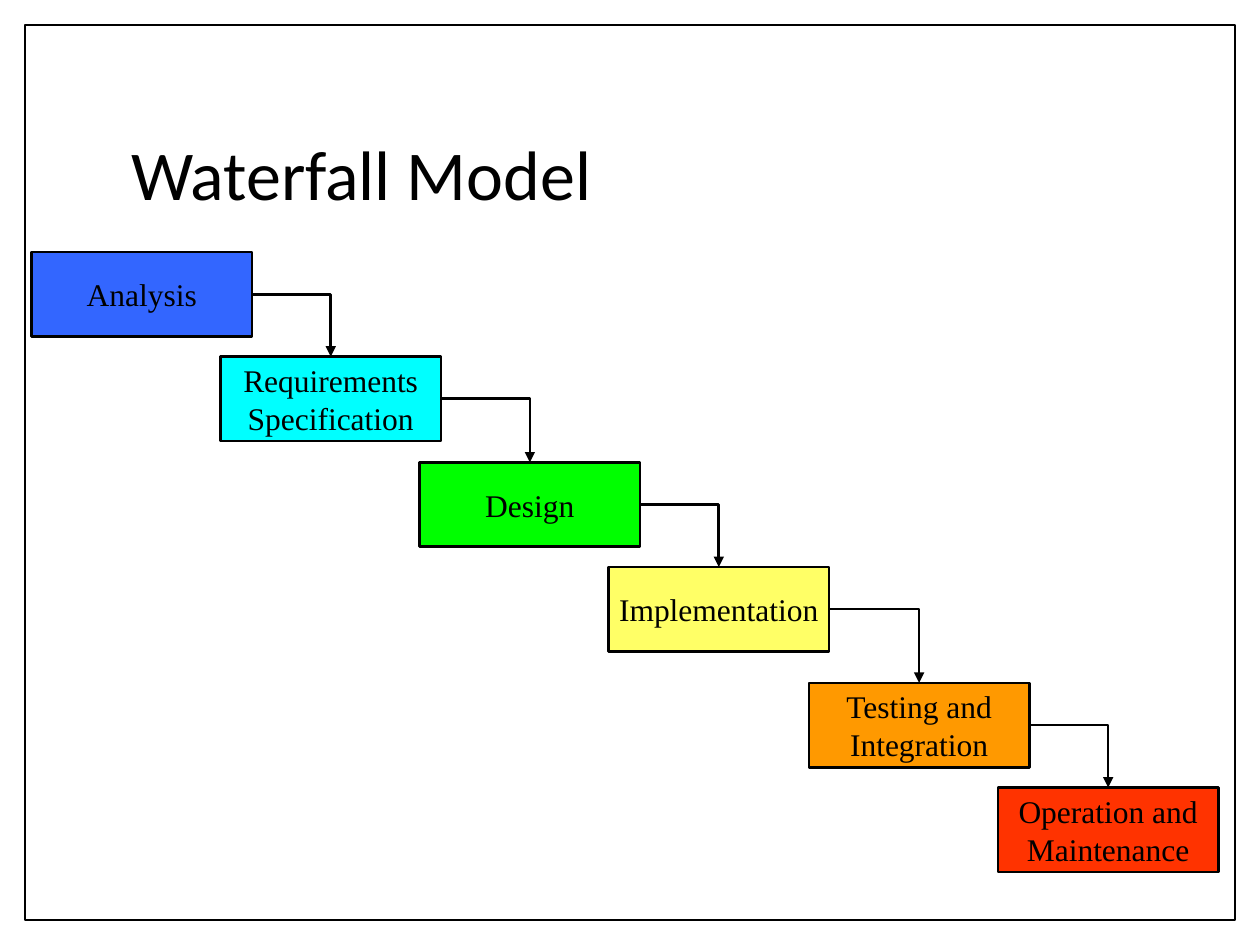
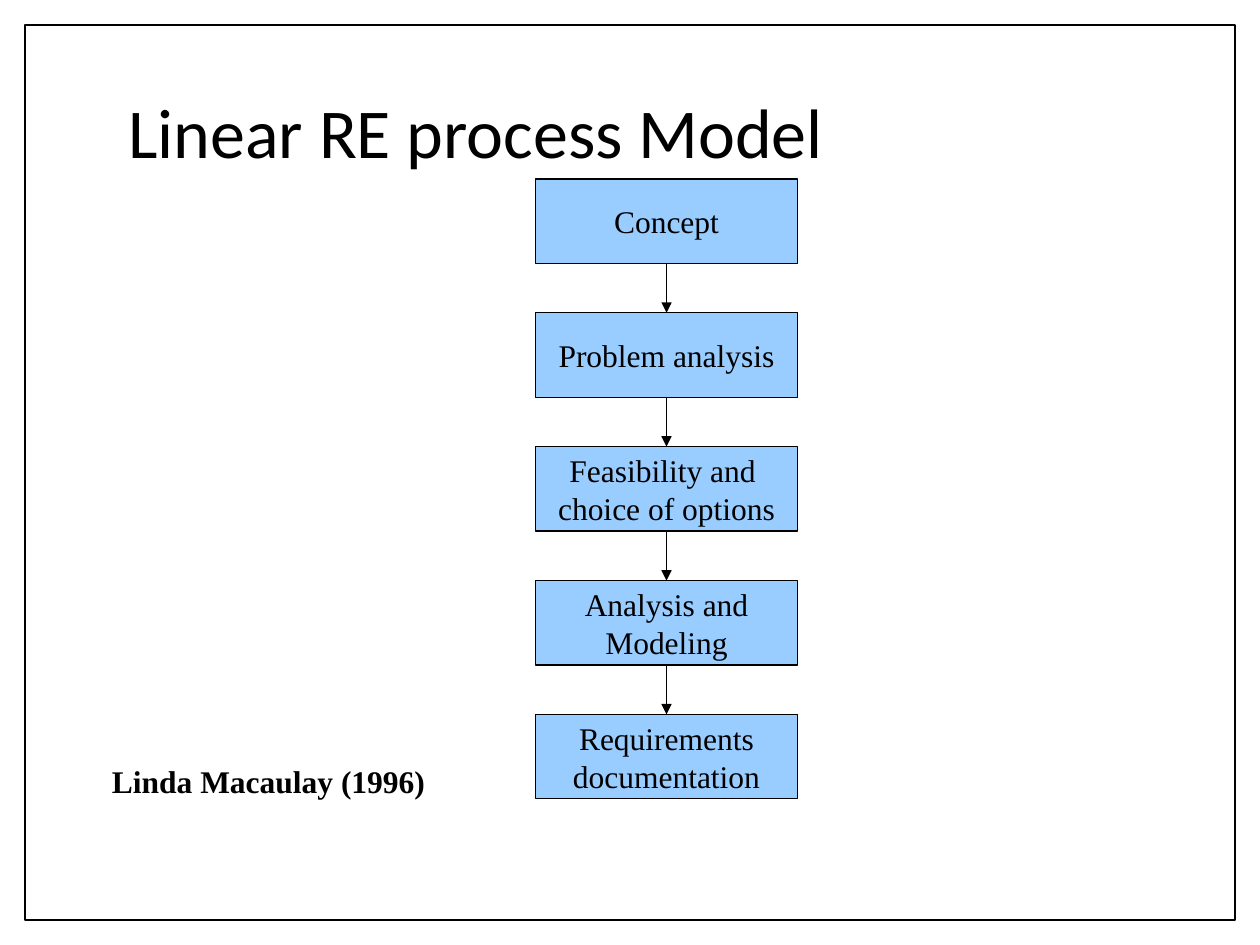
from dataclasses import dataclass
from lxml.etree import SubElement
from pptx import Presentation
from pptx.dml.color import RGBColor
from pptx.enum.shapes import MSO_CONNECTOR, MSO_SHAPE
from pptx.enum.text import MSO_ANCHOR, MSO_AUTO_SIZE, PP_ALIGN
from pptx.oxml.ns import qn
from pptx.util import Inches, Pt


@dataclass
class Theme:
    ink: RGBColor = RGBColor.from_string("000000")
    paper: RGBColor = RGBColor.from_string("FFFFFF")
    sky: str = "99CCFF"
    head: str = "Calibri"
    body: str = "Times New Roman"
    big: int = 40
    small: int = 18


theme = Theme()


def style(frame, face, size, align, bold=False):
    """Format every paragraph of a text frame."""
    frame.vertical_anchor = MSO_ANCHOR.MIDDLE
    for para in frame.paragraphs:
        para.alignment = align
        for run in para.runs:
            run.font.name, run.font.size = face, Pt(size)
            run.font.bold = bold
            run.font.color.rgb = theme.ink


def chain(slide, kind, steps, width, weight, bend):
    """Draw boxes in order, each joined to the next by an arrow."""
    last = None
    for text, fill, left, top in steps:
        box = slide.shapes.add_shape(
            kind, Inches(left), Inches(top), Inches(width), Inches(0.67))
        box.shadow.inherit = False
        box.fill.solid()
        box.fill.fore_color.rgb = RGBColor.from_string(fill)
        box.line.color.rgb, box.line.width = theme.ink, Pt(weight)
        box.text_frame.text = text
        box.text_frame.word_wrap = False
        style(box.text_frame, theme.body, theme.small, PP_ALIGN.CENTER)
        if last is not None:
            form = MSO_CONNECTOR.ELBOW if bend else MSO_CONNECTOR.STRAIGHT
            link = slide.shapes.add_connector(form, 0, 0, 0, 0)
            # Sites: 0 top, 2 bottom, 3 right
            link.begin_connect(last, 3 if bend else 2)
            link.end_connect(box, 0)
            link.line.color.rgb, link.line.width = theme.ink, Pt(weight)
            props = link.element.spPr
            if bend:
                props.find(qn("a:prstGeom")).set("prst", "bentConnector2")
            SubElement(props.find(qn("a:ln")), qn("a:tailEnd"), type="triangle")
            SubElement(props, qn("a:effectLst"))
        last = box


deck = Presentation()
deck.slide_width, deck.slide_height = Inches(10), Inches(7.5)

# Slides and titles
slides = []
for text, left, top in [("Waterfall Model", 0.94, 0.67),
                        ("Linear RE process Model", 0.92, 0.34)]:
    slide = deck.slides.add_slide(deck.slide_layouts[5])
    title = slide.shapes.title
    title.left, title.top = Inches(left), Inches(top)
    title.width, title.height = Inches(8.1), Inches(1.48)
    title.text_frame.text = text
    title.text_frame.auto_size = MSO_AUTO_SIZE.NONE
    title.text_frame.paragraphs[0].line_spacing = 0.9
    style(title.text_frame, theme.head, theme.big, PP_ALIGN.LEFT)
    slides.append(slide)
first, second = slides

# Shared frame, moved to the back of the master
frame = first.shapes.add_shape(
    MSO_SHAPE.RECTANGLE, Inches(0.2), Inches(0.2), Inches(9.6), Inches(7.1))
frame.shadow.inherit = False
frame.fill.solid()
frame.fill.fore_color.rgb = theme.paper
frame.line.color.rgb, frame.line.width = theme.ink, Pt(1)
deck.slide_master.shapes.element.insert(2, frame.element)

# Waterfall steps
falls = [
    ("Analysis", "3366FF", 0.25, 2),
    ("Requirements\vSpecification", "00FFFF", 1.75, 2.83),
    ("Design", "00FF00", 3.33, 3.67),
    ("Implementation", "FFFF66", 4.83, 4.5),
    ("Testing and\vIntegration", "FF9900", 6.42, 5.42),
    ("Operation and\vMaintenance", "FF3300", 7.92, 6.25),
]
chain(first, MSO_SHAPE.FLOWCHART_PROCESS, falls, 1.75, 1.5, True)

# Linear steps
names = ["Concept", "Problem analysis", "Feasibility and \vchoice of options",
         "Analysis and\nModeling", "Requirements\vdocumentation"]
steps = [(name, theme.sky, 4.25, 1.42 + 4.25 * i / 4)
         for i, name in enumerate(names)]
chain(second, MSO_SHAPE.RECTANGLE, steps, 2.08, 0.75, False)

# Source of the linear model
note = second.shapes.add_textbox(
    Inches(0.79), Inches(6), Inches(2.69), Inches(0.4))
note.text_frame.text = "Linda Macaulay (1996)"
note.text_frame.word_wrap = False
note.text_frame.auto_size = MSO_AUTO_SIZE.SHAPE_TO_FIT_TEXT
style(note.text_frame, theme.body, theme.small, PP_ALIGN.LEFT, True)

deck.save("out.pptx")
